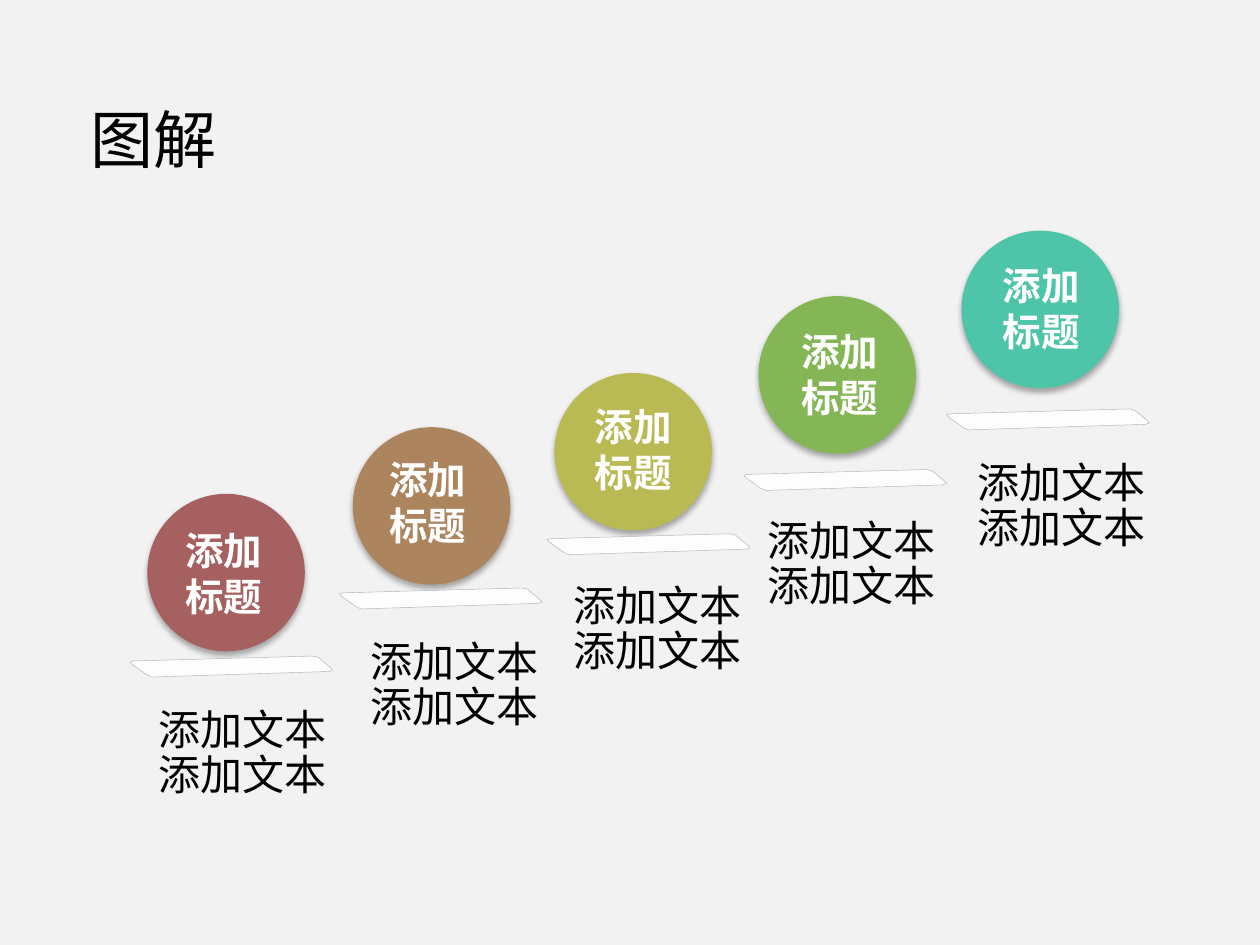
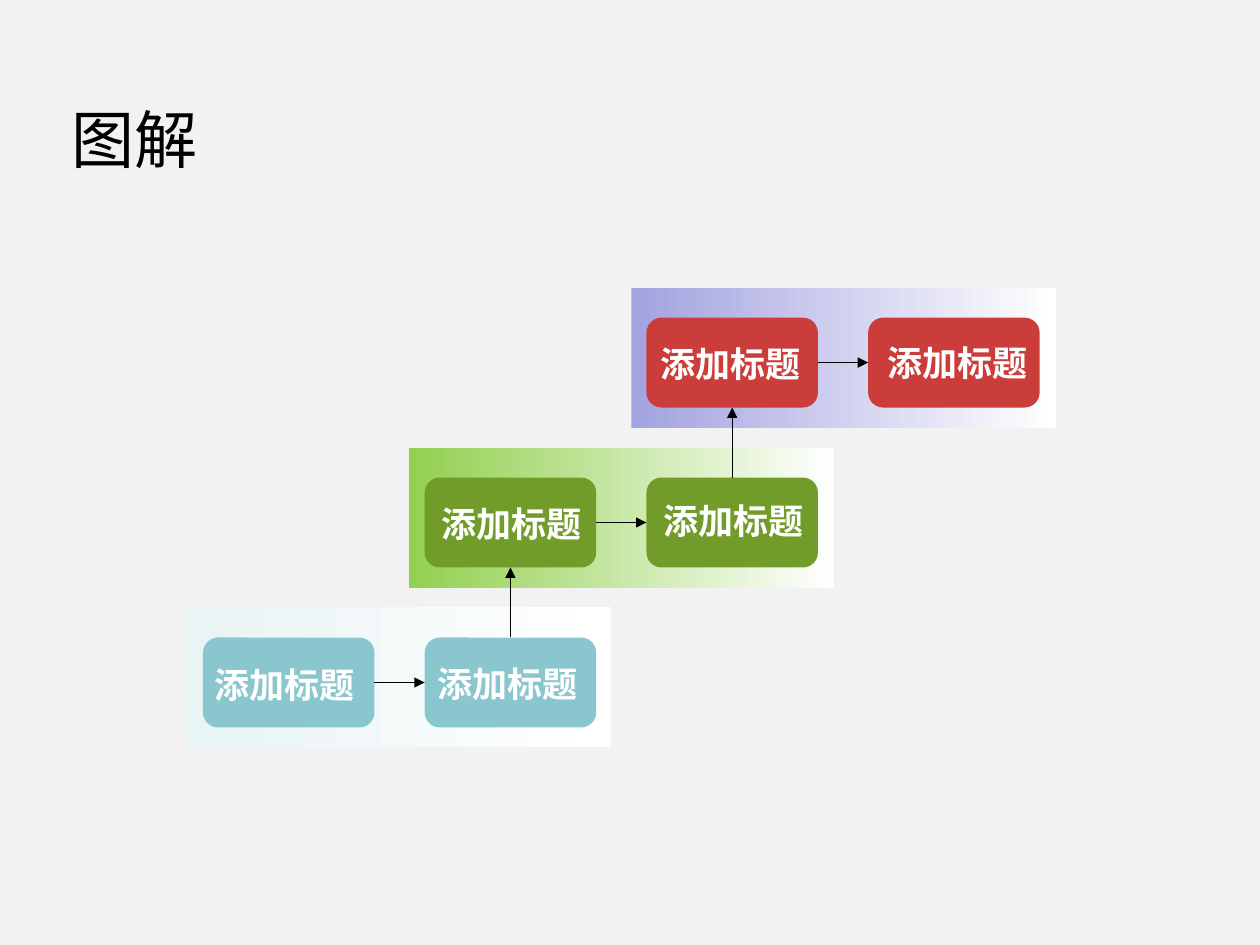
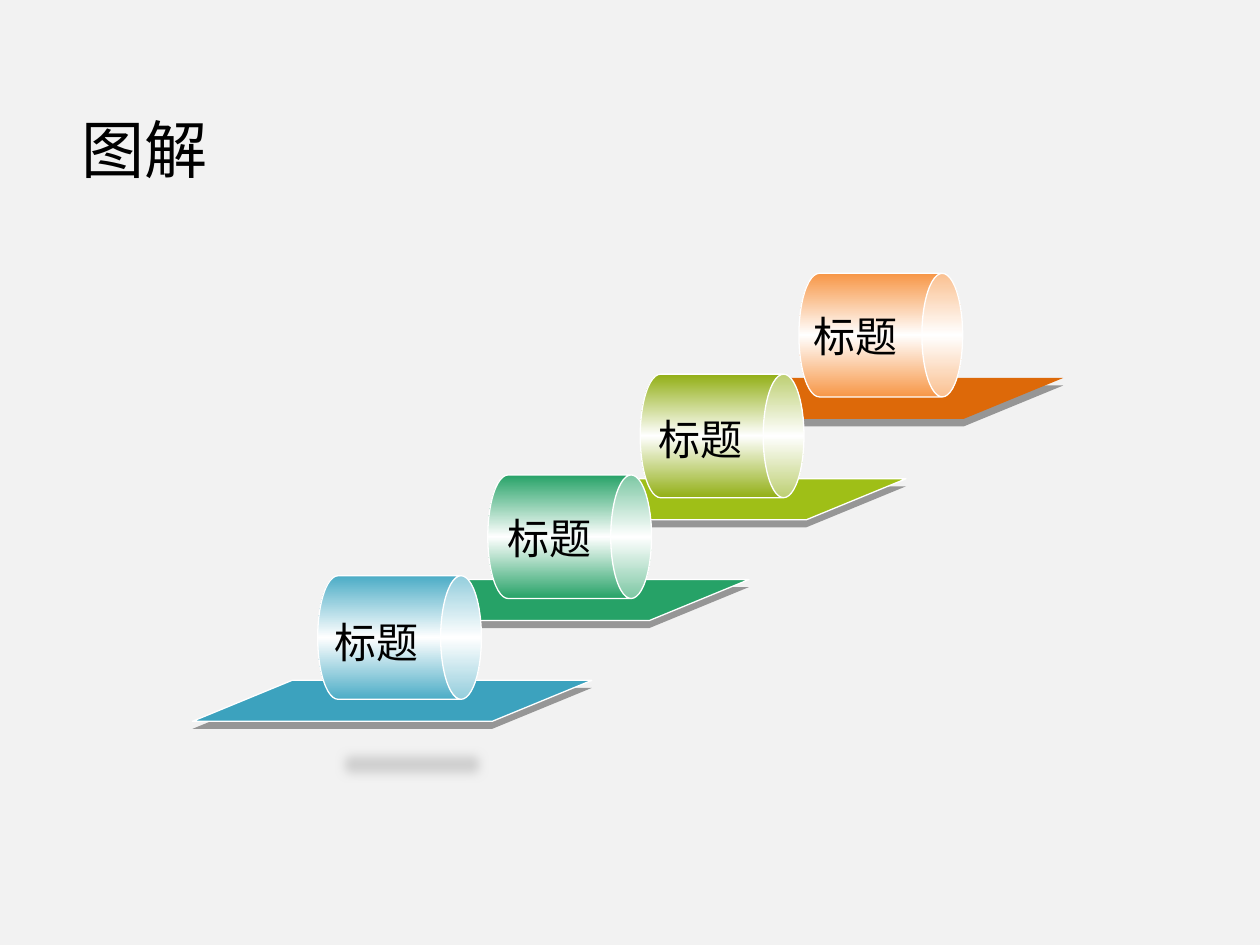
"""Build three step diagrams that share one background and title style."""
from pptx import Presentation
from pptx.dml.color import RGBColor as RGB
from pptx.enum.shapes import MSO_CONNECTOR as LINE, MSO_SHAPE as KIND
from pptx.enum.text import MSO_ANCHOR as ANCHOR, MSO_AUTO_SIZE as FIT, PP_ALIGN as ALIGN
from pptx.oxml import parse_xml
from pptx.oxml.ns import nsdecls, qn
from pptx.util import Pt

FONT = "Noto Sans CJK SC"
BLACK = RGB(0x00, 0x00, 0x00)
WHITE = RGB(0xFF, 0xFF, 0xFF)
PAPER = RGB(0xF2, 0xF2, 0xF2)
PLATE = RGB(0xFD, 0xFD, 0xFD)
EDGE = RGB(0xB0, 0xB0, 0xB0)
SHADE = RGB(0x96, 0x96, 0x96)
MIST = RGB(0xD0, 0xD0, 0xD0)
ROSE = RGB(0xA6, 0x60, 0x60)
TAN = RGB(0xAC, 0x85, 0x5E)
OLIVE = RGB(0xBA, 0xBA, 0x54)
LEAF = RGB(0x84, 0xB6, 0x56)
MINT = RGB(0x4E, 0xC4, 0xA8)
AQUA = RGB(0x8A, 0xC6, 0xCD)
MOSS = RGB(0x71, 0x9C, 0x2A)
RED = RGB(0xCB, 0x3D, 0x3A)
ICE = RGB(0xE9, 0xF4, 0xF5)
LIME = RGB(0x92, 0xD0, 0x50)
LILAC = RGB(0xA3, 0xA3, 0xE0)
BLUE = RGB(0x3C, 0xA2, 0xBE)
SKY = RGB(0x4B, 0xAC, 0xC6)
GREEN = RGB(0x26, 0xA2, 0x67)
GRASS = RGB(0x9F, 0xBF, 0x17)
FERN = RGB(0x92, 0xAF, 0x15)
RUST = RGB(0xDD, 0x69, 0x09)
PEACH = RGB(0xF7, 0x96, 0x46)


def write(slide, text, x, y, w, h, size=24, color=BLACK, bold=False, align=ALIGN.LEFT, box=None):
    box = box or slide.shapes.add_textbox(0, 0, 0, 0)
    box.left, box.top, box.width, box.height = Pt(x), Pt(y), Pt(w), Pt(h)
    frame = box.text_frame
    frame.text = text
    frame.word_wrap = True
    frame.auto_size = FIT.NONE
    frame.vertical_anchor = ANCHOR.TOP
    frame.margin_top = Pt(3.6 + size * 0.1)
    frame.margin_bottom = 0
    for para in frame.paragraphs:
        para.alignment = align
        para.line_spacing = Pt(size * 1.2)
        for run in para.runs:
            font = run.font
            font.name, font.size, font.bold = FONT, Pt(size), bold
            font.color.rgb = color
            font._element.append(parse_xml(f'<a:ea {nsdecls("a")} typeface="{FONT}"/>'))


def draw(slide, kind, x, y, w, h, fill, line=None, adj=None, angle=0, effect=None):
    shape = slide.shapes.add_shape(kind, Pt(x), Pt(y), Pt(w), Pt(h))
    shape.shadow.inherit = False
    props = shape._element.spPr
    if isinstance(fill, list):
        shape.fill.background()
        stops = "".join(
            f'<a:gs pos="{100000 * i // (len(fill) - 1)}"><a:srgbClr val="{tone}"/></a:gs>'
            for i, tone in enumerate(fill))
        grad = (f'<a:gradFill {nsdecls("a")} rotWithShape="0"><a:gsLst>{stops}</a:gsLst>'
                f'<a:lin ang="{angle * 60000}" scaled="0"/></a:gradFill>')
        props.replace(props.find(qn("a:noFill")), parse_xml(grad))
    else:
        shape.fill.solid()
        shape.fill.fore_color.rgb = fill
    if line:
        shape.line.color.rgb = line
        shape.line.width = Pt(0.75)
    else:
        shape.line.fill.background()
    if adj:
        shape.adjustments[0] = adj
    if effect:
        props.find(qn("a:effectLst")).append(parse_xml(effect))
    return shape


deck = Presentation()
deck.slide_width, deck.slide_height = Pt(720), Pt(540)
back = deck.slide_master.background.fill
back.solid()
back.fore_color.rgb = PAPER

slides = []
for x, y, w in [(44.6, 50.4, 371.5), (33.8, 50.4, 219.6), (39.6, 56.2, 236.2)]:
    slide = deck.slides.add_slide(deck.slide_layouts[5])
    write(slide, "图解", x, y, w, 51, size=36, box=slide.shapes.title)
    slides.append(slide)
balls, flow, cans = slides

GLOW = (f'<a:outerShdw {nsdecls("a")} blurRad="{Pt(3.5)}" dist="{Pt(2.2)}" dir="5400000" '
        'rotWithShape="0"><a:srgbClr val="000000"><a:alpha val="32000"/></a:srgbClr></a:outerShdw>')
RIM = [(104.8, 9.1), (108.3, 9.7), (115.7, 15.9), (116.8, 17.1), (114.6, 17.9),
       (13.4, 21.1), (10.6, 19.9), (2, 13.7), (0.9, 12.5), (3.1, 11.9)]
steps = [
    (ROSE, (84.2, 282.2), (73.4, 365.8), (85.7, 295.2), (83.5, 396)),
    (TAN, (201.6, 244.1), (193, 326.9), (202.3, 254.9), (204.5, 357.1)),
    (OLIVE, (316.8, 213.1), (311.8, 295.9), (319.7, 224.6), (320.4, 325.4)),
    (LEAF, (433.4, 169.2), (424.1, 259.2), (437.8, 181.4), (431.3, 288)),
    (MINT, (549.4, 131.8), (540, 224.6), (553, 144), (551.5, 254.9)),
]
for tone, ball, plate, name, note in steps:
    draw(balls, KIND.OVAL, *ball, 90, 90, tone, effect=GLOW)
    rim = [(Pt(plate[0] + x), Pt(plate[1] + y)) for x, y in RIM]
    path = balls.shapes.build_freeform(*rim[0])
    path.add_line_segments(rim[1:], close=True)
    tile = path.convert_to_shape()
    tile.shadow.inherit = False
    tile.fill.solid()
    tile.fill.fore_color.rgb = PLATE
    tile.line.color.rgb = EDGE
    tile.line.width = Pt(0.25)
    write(balls, "添加\n标题", *name, 84.2, 60.5, size=22, color=WHITE, bold=True, align=ALIGN.CENTER)
    for row in range(2):
        write(balls, "添加文本", note[0], note[1] + 25.7 * row, 120, 36)

rows = [
    (ICE, AQUA, [(109.4, 373.7), (236.9, 373)]),
    (LIME, MOSS, [(239, 281.5), (365.8, 280.1)]),
    (LILAC, RED, [(364.3, 190.1), (493.9, 189.4)]),
]
boxes = []
for i, (pale, tone, spots) in enumerate(rows):
    draw(flow, KIND.RECTANGLE, 106.8 + 127 * i, 347.1 - 91.2 * i, 242.6, 80, [pale, WHITE])
    for j, spot in enumerate(spots):
        boxes.append(draw(flow, KIND.ROUNDED_RECTANGLE, 116 + 126.7 * (i + j), 364.3 - 91.4 * i,
                          98, 51.4, tone, adj=0.167))
        write(flow, "添加标题", *spot, 106.6, 31.7, size=20, color=WHITE, bold=True, align=ALIGN.CENTER)
for i, (start, end) in enumerate(zip(boxes, boxes[1:])):
    arrow = flow.shapes.add_connector(LINE.STRAIGHT, 0, 0, 0, 0)
    across = i % 2 == 0
    arrow.begin_connect(start, 3 if across else 0)
    arrow.end_connect(end, 1 if across else 2)
    arrow.line.color.rgb = BLACK
    arrow.line.width = Pt(0.75)
    arrow.line._get_or_add_ln().append(parse_xml(f'<a:tailEnd {nsdecls("a")} type="triangle"/>'))
    arrow._element.spPr.append(parse_xml(f'<a:effectLst {nsdecls("a")}/>'))

stairs = [
    (RUST, PEACH, None, (468, 144.7), (457.9, 171.4)),
    (GRASS, FERN, WHITE, (377.3, 202.3), (369.4, 230.4)),
    (GREEN, GREEN, WHITE, (290.2, 259.9), (283, 286.6)),
    (BLUE, SKY, WHITE, (193, 317.5), (184.3, 346.3)),
]
SOFT = f'<a:softEdge {nsdecls("a")} rad="{Pt(6)}"/>'
draw(cans, KIND.ROUNDED_RECTANGLE, 191.4, 426.3, 88.6, 21.6, MIST, effect=SOFT)
for i in range(len(stairs)):
    draw(cans, KIND.PARALLELOGRAM, 379.4 - 89.8 * i, 220.3 + 57.6 * i, 228.2, 23.4, SHADE, adj=2.43)
for i, (base, tone, edge, can, name) in enumerate(stairs):
    draw(cans, KIND.PARALLELOGRAM, 379.4 - 89.8 * i, 216 + 57.6 * i, 228.2, 23.4, base, line=edge, adj=2.43)
    drum = draw(cans, KIND.CAN, *can, 70.6, 93.6, [tone, WHITE, tone], line=WHITE, adj=0.33, angle=90)
    drum.rotation = 90
    write(cans, "标题", *name, 73.4, 36)

deck.save("out.pptx")
